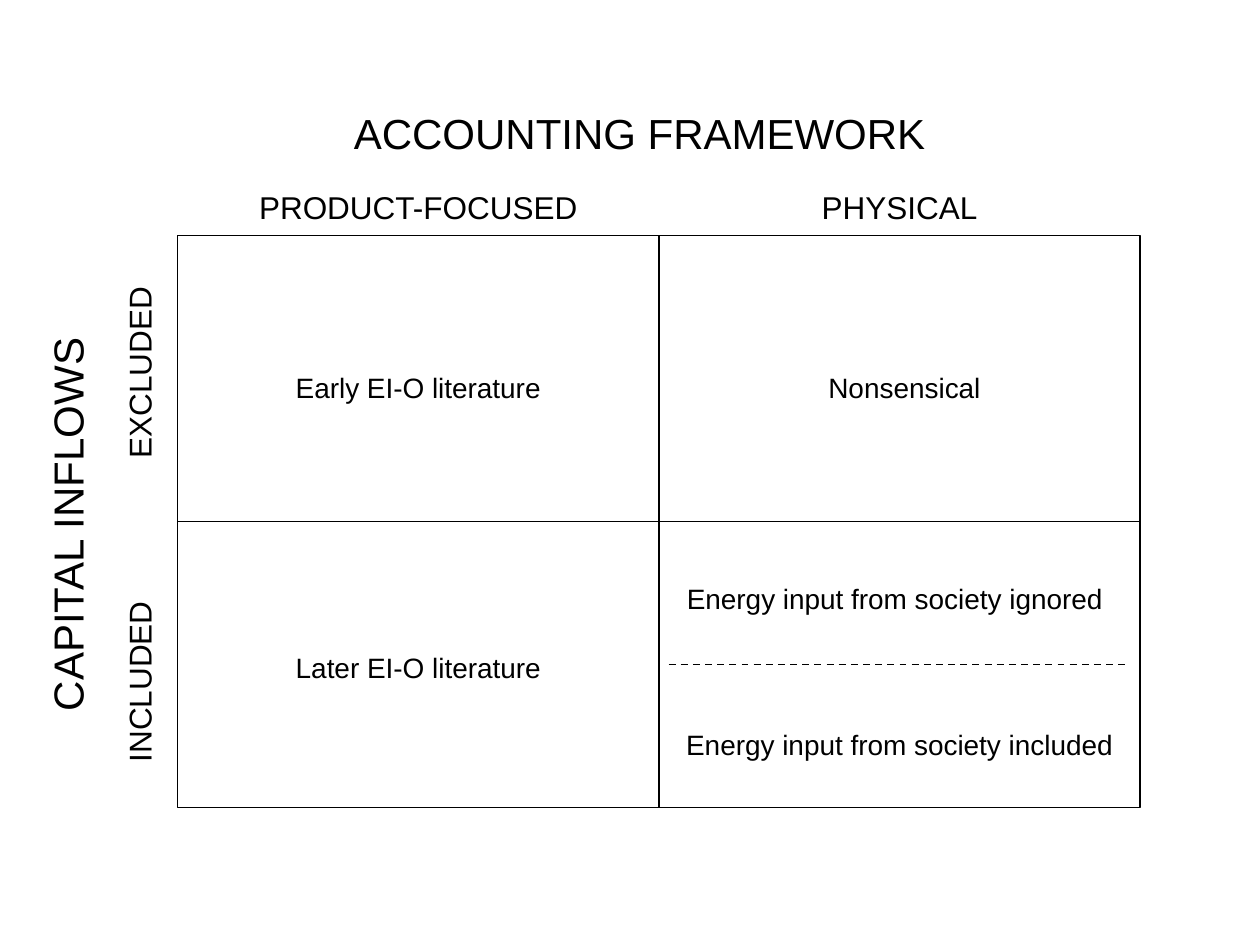
import pptx
import pptx.dml.color
import pptx.enum.dml
import pptx.enum.shapes
import pptx.enum.text
import pptx.oxml.ns
import pptx.util
import lxml.etree

COLORS = {"ink": "000000", "paper": "FFFFFF"}
FONT = "Arial"
LEFT, TOP = 1.41, 1.87
COLUMN, ROW = 3.82, 2.27
BOX_HEIGHTS = {16: 0.37, 18: 0.4, 24: 0.5}

# text, column, row, box width
COLUMN_HEADS = [("PRODUCT-FOCUSED", 0.5, -0.1, 2.78), ("PHYSICAL", 1.5, -0.1, 1.47)]
ROW_HEADS = [("EXCLUDED", -0.08, 0.48, 1.6), ("INCLUDED", -0.08, 1.56, 1.52)]
CELL_TEXTS = [
    ("Early EI-O literature", 0.5, 0.53, 2.18),
    ("Nonsensical", 1.51, 0.53, 1.45),
    ("Later EI-O literature", 0.5, 1.51, 2.18),
    ("Energy input from society ignored", 1.49, 1.27, 3.54),
    ("Energy input from society included", 1.5, 1.78, 3.63),
]


def color(name):
    return pptx.dml.color.RGBColor.from_string(COLORS[name])


def grid_point(column, row):
    """Turn matrix columns and rows into slide lengths."""
    return (pptx.util.Inches(LEFT + column * COLUMN),
            pptx.util.Inches(TOP + row * ROW))


def style_line(line, dash=None):
    line.color.rgb = color("ink")
    line.width = pptx.util.Pt(1)
    line.dash_style = dash


def add_frame(slide):
    frame = slide.shapes.add_shape(
        pptx.enum.shapes.MSO_SHAPE.RECTANGLE, *grid_point(0, 0),
        pptx.util.Inches(2 * COLUMN), pptx.util.Inches(2 * ROW))
    frame.shadow.inherit = False
    frame.fill.background()
    style_line(frame.line)
    return frame


def add_rule(slide, start, end, dash=None):
    rule = slide.shapes.add_connector(
        pptx.enum.shapes.MSO_CONNECTOR.STRAIGHT, *grid_point(*start), *grid_point(*end))
    style_line(rule.line, dash)
    lxml.etree.SubElement(rule._element.spPr, pptx.oxml.ns.qn("a:effectLst"))
    return rule


def add_text(slide, text, column, row, width, size=16, rotation=0):
    """Centre a one-line text on a point of the matrix grid."""
    x, y = grid_point(column, row)
    width, height = pptx.util.Inches(width), pptx.util.Inches(BOX_HEIGHTS[size])
    box = slide.shapes.add_textbox(x - width // 2, y - height // 2, width, height)
    box.rotation = rotation
    frame = box.text_frame
    frame.word_wrap = False
    frame.auto_size = pptx.enum.text.MSO_AUTO_SIZE.SHAPE_TO_FIT_TEXT
    para = frame.paragraphs[0]
    para.alignment = pptx.enum.text.PP_ALIGN.CENTER
    span = para.add_run()
    span.text = text
    span.font.name = FONT
    span.font.size = pptx.util.Pt(size)
    span.font.color.rgb = color("ink")


def main():
    deck = pptx.Presentation()
    deck.slide_width, deck.slide_height = pptx.util.Inches(10), pptx.util.Inches(7.5)
    slide = deck.slides.add_slide(deck.slide_layouts[6])
    slide.background.fill.solid()
    slide.background.fill.fore_color.rgb = color("paper")

    frame = add_frame(slide)
    for start, end, first_side, last_side in [((0, 1), (2, 1), 1, 3), ((1, 0), (1, 2), 0, 2)]:
        divider = add_rule(slide, start, end)
        divider.begin_connect(frame, first_side)
        divider.end_connect(frame, last_side)
    add_rule(slide, (1.02, 1.5), (1.97, 1.5), pptx.enum.dml.MSO_LINE.DASH)

    add_text(slide, "ACCOUNTING FRAMEWORK", 0.96, -0.36, 4.8, size=24)
    add_text(slide, "CAPITAL INFLOWS", -0.23, 1.01, 3.24, size=24, rotation=270)
    for head in COLUMN_HEADS:
        add_text(slide, *head, size=18)
    for head in ROW_HEADS:
        add_text(slide, *head, size=18, rotation=270)
    for cell_text in CELL_TEXTS:
        add_text(slide, *cell_text)

    deck.save("out.pptx")


if __name__ == "__main__":
    main()
